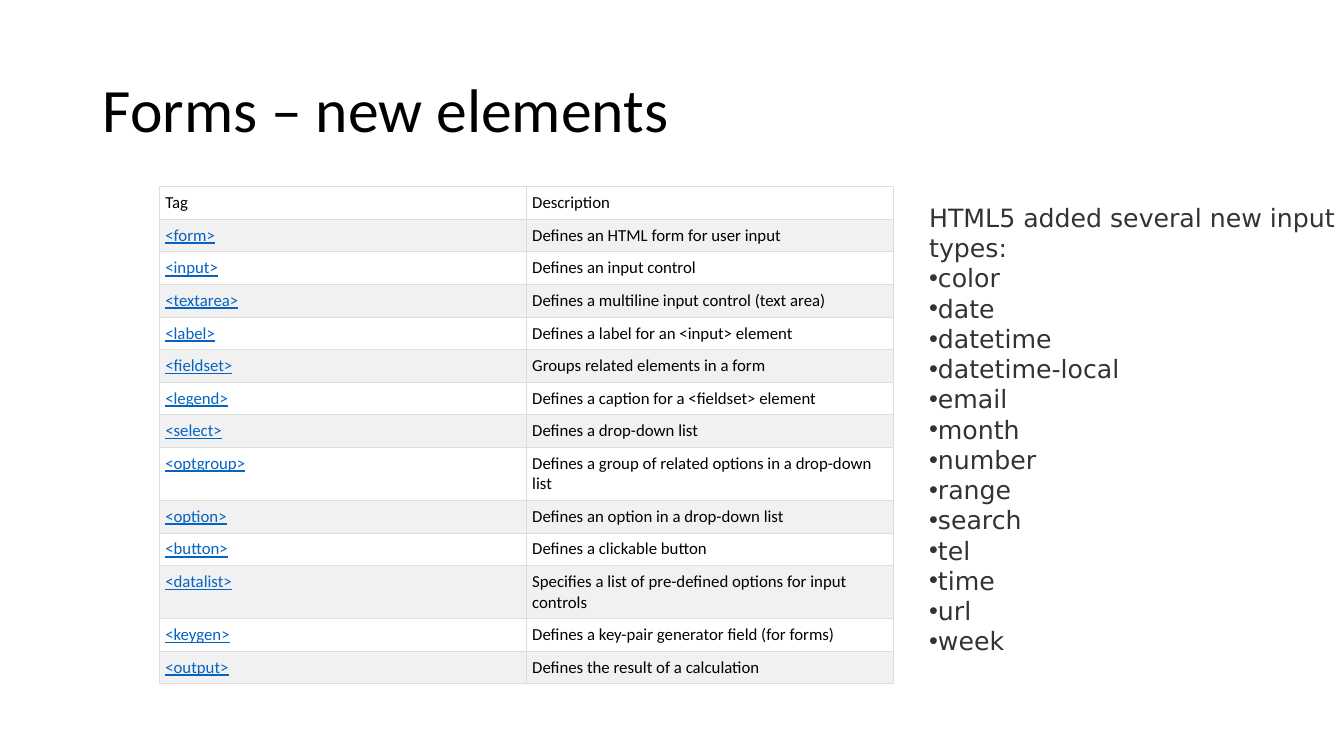
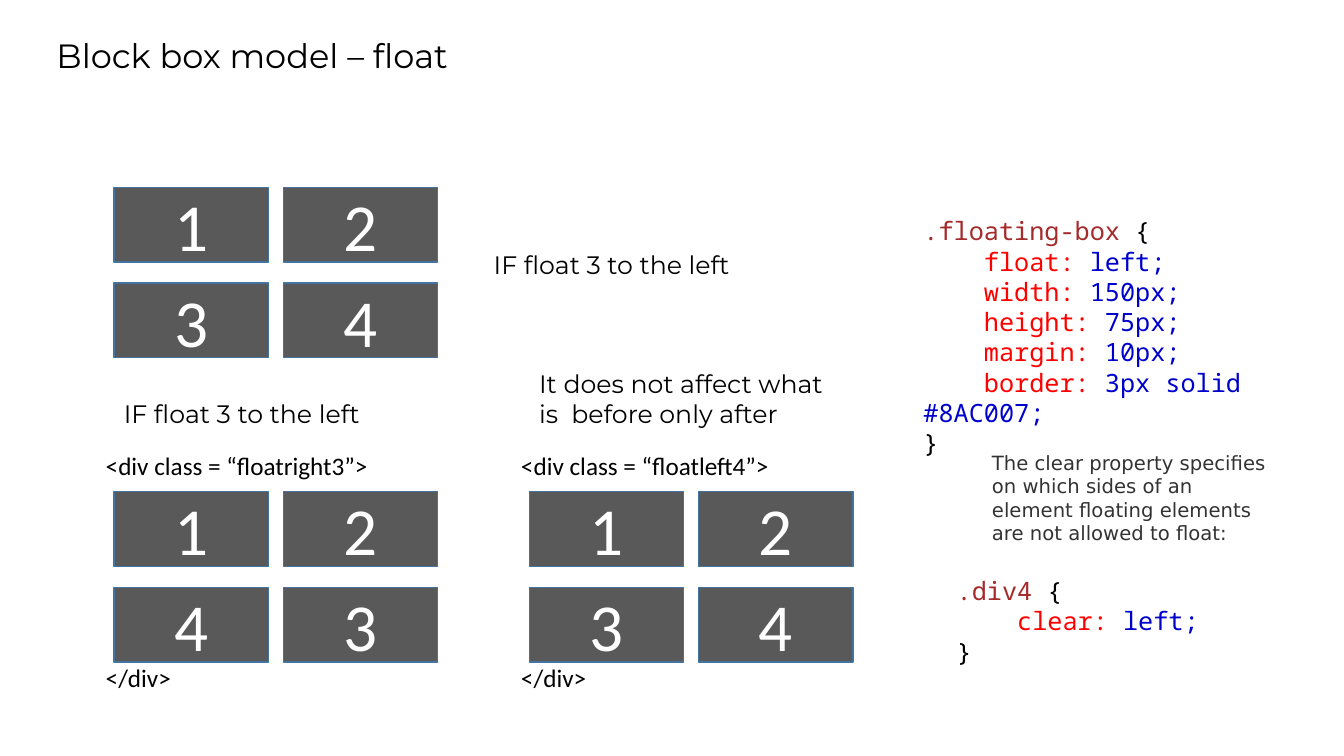
import pptx
import pptx.dml.color
import pptx.enum.shapes
import pptx.enum.text
import pptx.oxml
import pptx.oxml.ns
import pptx.util
from dataclasses import dataclass

ALIGN = pptx.enum.text.PP_ALIGN
ANCHOR = pptx.enum.text.MSO_ANCHOR
IN = pptx.util.Inches
PT = pptx.util.Pt


@dataclass(frozen=True)
class Theme:
    # Fonts
    body: str = "Calibri"
    label: str = "Montserrat"
    prose: str = "DejaVu Sans"
    mono: str = "Noto Sans Mono"
    # Colours
    ink: str = "000000"
    white: str = "FFFFFF"
    soft: str = "333333"
    link: str = "0563C1"
    band: str = "F1F1F1"
    rule: str = "DDDDDD"
    tile: str = "595959"
    edge: str = "43739E"
    selector: str = "A52A2A"
    prop: str = "FF0000"
    value: str = "0000CD"
    # Type sizes
    title: int = 44
    subtitle: int = 24
    text: int = 18
    note: int = 14
    cell: int = 12
    digit: int = 48


T = Theme()


@dataclass(frozen=True)
class Box:
    x: float
    y: float
    w: float
    h: float

    def inner(self, x, y, w, h):
        """A box inside this one, given in percent of its size."""
        return Box(self.x + self.w * x / 100, self.y + self.h * y / 100,
                   self.w * w / 100, self.h * h / 100)

    def emu(self):
        return [IN(v) for v in (self.x, self.y, self.w, self.h)]


SLIDE = Box(0, 0, 13.33, 7.5)


def rgb(color):
    return pptx.dml.color.RGBColor.from_string(color)


def xml(tag, inner="", **attrs):
    listed = "".join(f' {k}="{v}"' for k, v in attrs.items())
    ns = pptx.oxml.ns.nsdecls("a")
    return pptx.oxml.parse_xml(f"<a:{tag} {ns}{listed}>{inner}</a:{tag}>")


def write(tf, paras, size=T.text, font=T.body, color=T.ink, align=ALIGN.LEFT,
          underline=False, bullet_from=None, indent=None, before=None, line=None):
    """Fill a text frame; a paragraph is a string or a list of (text, colour).

    indent and before map a paragraph's index to a first-line indent
    in inches and a space above in points.
    """
    tf.word_wrap = True
    for i, para in enumerate(paras):
        p = tf.paragraphs[0] if i == 0 else tf.add_paragraph()
        p.alignment = align
        p.space_before = PT((before or {}).get(i, 0))
        if line:
            p.line_spacing = line
        pPr = p._p.get_or_add_pPr()
        if i in (indent or {}):
            pPr.set("marL", "0")
            pPr.set("indent", str(IN(indent[i])))
        if bullet_from is not None and i >= bullet_from:
            pPr.append(xml("buFont", typeface="Arial"))
            pPr.append(xml("buChar", char="•"))
        for words, run_color in [(para, color)] if isinstance(para, str) else para:
            r = p.add_run()
            r.text = words
            r.font.name, r.font.size = font, PT(size)
            r.font.color.rgb = rgb(run_color)
            r.font.underline = underline


def text_box(slide, box, paras, **fmt):
    sp = slide.shapes.add_textbox(*box.emu())
    write(sp.text_frame, paras, **fmt)


def title_slide(prs, box, title, anchor, **fmt):
    """Add a title-only slide with its title set in the given box."""
    slide = prs.slides.add_slide(prs.slide_layouts[5])
    sp = slide.shapes.title
    sp.left, sp.top, sp.width, sp.height = box.emu()
    sp.text_frame.auto_size = pptx.enum.text.MSO_AUTO_SIZE.NONE
    sp.text_frame.vertical_anchor = anchor
    write(sp.text_frame, [title], **fmt)
    return slide


# Tag table
def format_cell(cell, words, fill, **fmt):
    cell.margin_left = cell.margin_right = IN(0.06)
    cell.margin_top = cell.margin_bottom = IN(0.06)
    tcPr = cell._tc.get_or_add_tcPr()
    line = f'<a:solidFill><a:srgbClr val="{T.rule}"/></a:solidFill>'
    for side in ("lnL", "lnR", "lnT", "lnB"):
        tcPr.append(xml(side, line, w=PT(0.75)))
    cell.fill.solid()
    cell.fill.fore_color.rgb = rgb(fill)
    write(cell.text_frame, [words], size=T.cell, **fmt)


def tag_table(slide, box, rows):
    table = slide.shapes.add_table(len(rows), 2, *box.emu()).table
    table.first_row = table.horz_banding = False
    for col in table.columns:
        col.width = IN(box.w / 2)
    # Descriptions that wrap need a taller row
    shares = [1.65 if len(desc) > 50 else 1 for _, desc in rows]
    for i, (tag, desc) in enumerate(rows):
        table.rows[i].height = IN(box.h * shares[i] / sum(shares))
        fill = T.band if i % 2 else T.white
        is_link = i > 0
        format_cell(table.cell(i, 0), tag, fill, underline=is_link,
                    color=T.link if is_link else T.ink)
        format_cell(table.cell(i, 1), desc, fill)


# Numbered tiles, two by two
def tile_grid(slide, box, digits):
    group = slide.shapes.add_group_shape()
    w, h = 47.7, 43.8
    for i, digit in enumerate(digits):
        row, col = divmod(i, 2)
        tile = box.inner(col * (100 - w), row * (100 - h), w, h)
        sp = group.shapes.add_shape(
            pptx.enum.shapes.MSO_SHAPE.RECTANGLE, *tile.emu())
        sp.shadow.inherit = False
        sp.fill.solid()
        sp.fill.fore_color.rgb = rgb(T.tile)
        sp.line.color.rgb = rgb(T.edge)
        sp.line.width = PT(1)
        sp.text_frame.vertical_anchor = ANCHOR.MIDDLE
        write(sp.text_frame, [digit], size=T.digit, color=T.white,
              align=ALIGN.CENTER)


# Tiles between an opening and a closing tag
def div_block(slide, box, name, digits):
    text_box(slide, box, [f"<div class = “{name}”>", "</div>"], before={1: 130})
    tile_grid(slide, box.inner(5.3, 18.3, 94.7, 67.1), digits)


# One style rule, coloured by syntax
def code_rule(slide, box, selector, declarations):
    paras = [[(selector + " ", T.selector), ("{", T.ink)]]
    paras += [[(prop + ": ", T.prop), (value + ";", T.value)]
              for prop, value in declarations]
    paras.append([("}", T.ink)])
    text_box(slide, box, paras, font=T.mono,
             indent={i: 0.6 for i in range(1, len(paras) - 1)})


TAGS = [
    ("Tag", "Description"),
    ("<form>", "Defines an HTML form for user input"),
    ("<input>", "Defines an input control"),
    ("<textarea>", "Defines a multiline input control (text area)"),
    ("<label>", "Defines a label for an <input> element"),
    ("<fieldset>", "Groups related elements in a form"),
    ("<legend>", "Defines a caption for a <fieldset> element"),
    ("<select>", "Defines a drop-down list"),
    ("<optgroup>", "Defines a group of related options in a drop-down list"),
    ("<option>", "Defines an option in a drop-down list"),
    ("<button>", "Defines a clickable button"),
    ("<datalist>", "Specifies a list of pre-defined options for input controls"),
    ("<keygen>", "Defines a key-pair generator field (for forms)"),
    ("<output>", "Defines the result of a calculation"),
]
INPUT_TYPES = ["color", "date", "datetime", "datetime-local", "email", "month",
               "number", "range", "search", "tel", "time", "url", "week"]


def forms_slide(prs):
    slide = title_slide(prs, SLIDE.inner(6.9, 5.3, 86.3, 19.3),
                        "Forms – new elements", ANCHOR.MIDDLE,
                        size=T.title, line=0.9)
    tag_table(slide, SLIDE.inner(11.85, 24.7, 54.6, 63.5), TAGS)
    text_box(slide, SLIDE.inner(68.4, 26.1, 32.7, 61.9),
             ["HTML5 added several new input types:"] + INPUT_TYPES,
             font=T.prose, color=T.soft, bullet_from=1)


def float_slide(prs):
    slide = title_slide(prs, SLIDE.inner(3.45, 4, 31.3, 6.7),
                        "Block box model – float", ANCHOR.TOP,
                        size=T.subtitle, font=T.label)
    # Tiles and their captions
    tile_grid(slide, SLIDE.inner(8.48, 24.8, 24.1, 22.5), "1234")
    for x, y, h, caption in [
        (8.48, 52.1, 5.3, "IF float 3 to the left"),
        (36, 32.3, 5.3, "IF float 3 to the left"),
        (39.38, 48.1, 9.5, "It does not affect what is  before only after"),
    ]:
        text_box(slide, SLIDE.inner(x, y, 24.1, h), [caption], font=T.label)
    for x, name, digits in [(7.13, "floatright3", "1243"),
                            (38.03, "floatleft4", "1234")]:
        div_block(slide, SLIDE.inner(x, 58.9, 25.43, 33.6), name, digits)
    # Style rules and the note between them
    code_rule(slide, SLIDE.inner(67.97, 27.87, 33.68, 29.6), ".floating-box",
              [("float", "left"), ("width", "150px"), ("height", "75px"),
               ("margin", "10px"), ("border", "3px solid #8AC007")])
    code_rule(slide, SLIDE.inner(70.44, 75.47, 20.18, 13.47), ".div4",
              [("clear", "left")])
    text_box(slide, SLIDE.inner(73.07, 58.93, 22.5, 13.87),
             ["The clear property specifies on which sides of an element "
              "floating elements are not allowed to float:"],
             size=T.note, font=T.prose, color=T.soft)


def main():
    prs = pptx.Presentation()
    prs.slide_width, prs.slide_height = IN(SLIDE.w), IN(SLIDE.h)
    forms_slide(prs)
    float_slide(prs)
    prs.save("out.pptx")


if __name__ == "__main__":
    main()
